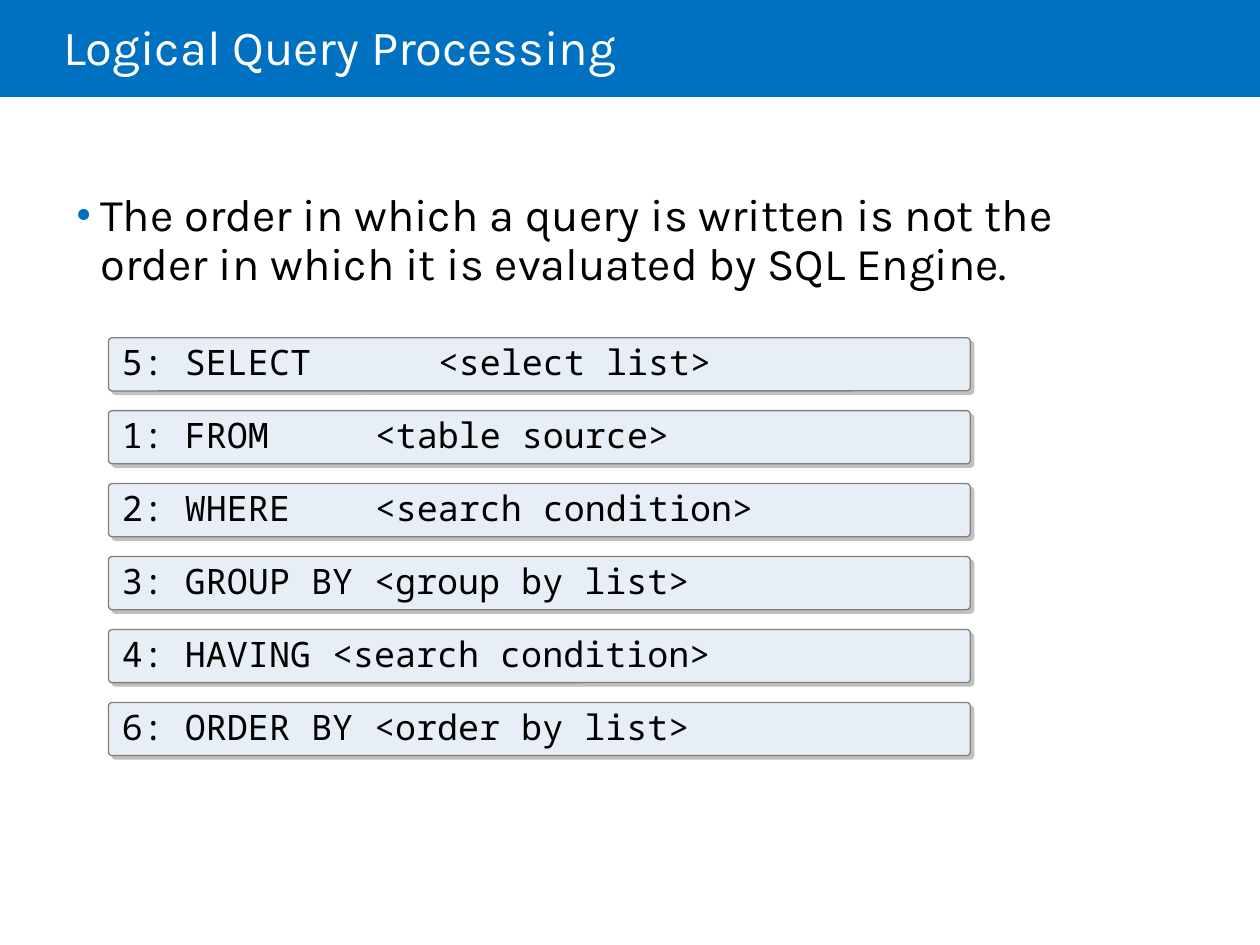
from lxml import etree
from pptx import Presentation
from pptx.dml.color import RGBColor
from pptx.enum import shapes, text
from pptx.oxml import ns
from pptx.util import Pt

BLUE = RGBColor(0x00, 0x70, 0xC0)
WHITE = RGBColor(0xFF, 0xFF, 0xFF)
BLACK = RGBColor(0x00, 0x00, 0x00)
PALE_BLUE = RGBColor(0xE8, 0xEE, 0xF6)
GRAY = RGBColor(0x80, 0x80, 0x80)
SHADOW_GRAY = RGBColor(0xC0, 0xC0, 0xC0)

BODY_FONT = "Karla"
CODE_FONT = "Noto Sans Mono"

# Clause text and the tab stop of its argument in points, if it has one
CLAUSES = [
    ("5: SELECT\t<select list>", 180.6),
    ("1: FROM\t<table source>", 144.5),
    ("2: WHERE\t<search condition>", 144.5),
    ("3: GROUP BY <group by list>", None),
    ("4: HAVING <search condition>", None),
    ("6: ORDER BY <order by list>", None),
]


def add_element(parent, tag, **attributes):
    element = etree.SubElement(parent, ns.qn(tag))
    for name, value in attributes.items():
        element.set(name, str(value))
    return element


def write_text(shape, content, font_name, size, color, line_spacing):
    shape.text_frame.word_wrap = True
    shape.text_frame.text = content
    paragraph = shape.text_frame.paragraphs[0]
    paragraph.alignment = text.PP_ALIGN.LEFT
    paragraph.line_spacing = line_spacing
    font = paragraph.runs[0].font
    font.name = font_name
    font.size = Pt(size)
    font.color.rgb = color
    return paragraph


def add_header(slide, left, top, width, height):
    # Band, placed behind the title
    band = slide.shapes.add_shape(
        shapes.MSO_SHAPE.RECTANGLE, Pt(left), Pt(top), Pt(width), Pt(height))
    band.shadow.inherit = False
    band.fill.solid()
    band.fill.fore_color.rgb = BLUE
    band.line.fill.background()
    title = slide.shapes.title
    title._element.addprevious(band._element)

    # Title
    title.left, title.top = Pt(left + 36), Pt(top)
    title.width, title.height = Pt(width - 108), Pt(height + 2.9)
    frame = title.text_frame
    frame.auto_size = text.MSO_AUTO_SIZE.NONE
    frame.vertical_anchor = text.MSO_ANCHOR.MIDDLE
    frame.margin_left = Pt(0)
    write_text(title, "Logical Query Processing", BODY_FONT, 28, WHITE, 0.85)


def add_statement(slide, left, top, width, height):
    box = slide.shapes.add_textbox(Pt(left), Pt(top), Pt(width), Pt(height))
    paragraph = write_text(
        box,
        "The order in which a query is written is not the order "
        "in which it is evaluated by SQL Engine.",
        BODY_FONT, 25.9, BLACK, 0.9)
    paragraph.space_before = Pt(6)

    # Hanging bullet
    properties = paragraph._p.get_or_add_pPr()
    properties.set("marL", str(Pt(13.5)))
    properties.set("indent", str(-Pt(13.5)))
    bullet_color = add_element(properties, "a:buClr")
    add_element(bullet_color, "a:srgbClr", val=BLUE)
    add_element(properties, "a:buSzPct", val=90000)
    add_element(properties, "a:buFont", typeface="Arial")
    add_element(properties, "a:buChar", char="•")


def add_clause(slide, content, tab_stop, left, top, width, height):
    bar = slide.shapes.add_shape(
        shapes.MSO_SHAPE.ROUNDED_RECTANGLE,
        Pt(left), Pt(top), Pt(width), Pt(height))
    bar.adjustments[0] = 0.07
    bar.fill.solid()
    bar.fill.fore_color.rgb = PALE_BLUE
    bar.line.color.rgb = GRAY
    bar.line.width = Pt(0.75)

    # Hard shadow to the lower right
    bar.shadow.inherit = False
    effects = bar._element.spPr.find(ns.qn("a:effectLst"))
    shadow = add_element(effects, "a:outerShdw", blurRad=0, dist=Pt(2.8),
                         dir=45 * 60000, algn="ctr", rotWithShape=0)
    add_element(shadow, "a:srgbClr", val=SHADOW_GRAY)

    # Clause text
    bar.text_frame.vertical_anchor = text.MSO_ANCHOR.MIDDLE
    paragraph = write_text(bar, content, CODE_FONT, 20, BLACK, 0.9)
    if tab_stop is not None:
        tabs = add_element(paragraph._p.get_or_add_pPr(), "a:tabLst")
        add_element(tabs, "a:tab", pos=Pt(tab_stop), algn="l")


def add_clauses(slide, left, top, width, height):
    bar_height = 30.4
    pitch = (height - bar_height) / (len(CLAUSES) - 1)
    for index, (content, tab_stop) in enumerate(CLAUSES):
        add_clause(slide, content, tab_stop,
                   left, top + index * pitch, width, bar_height)


def main():
    presentation = Presentation()
    presentation.slide_width, presentation.slide_height = Pt(720), Pt(540)
    slide = presentation.slides.add_slide(presentation.slide_layouts[5])
    add_header(slide, 0, 0, 720, 55.4)
    add_statement(slide, 36.7, 106.5, 610.5, 67)
    add_clauses(slide, 62, 193, 492.5, 238.8)
    presentation.save("out.pptx")


if __name__ == "__main__":
    main()
